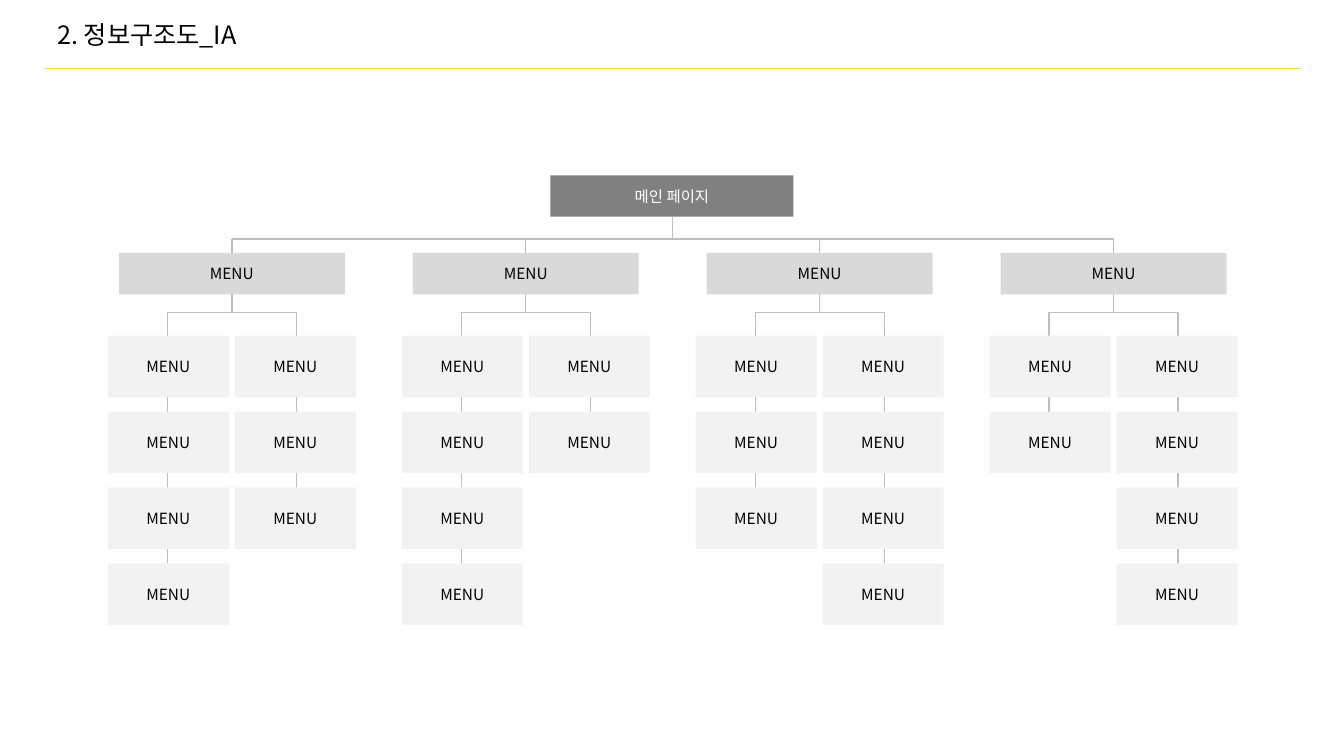
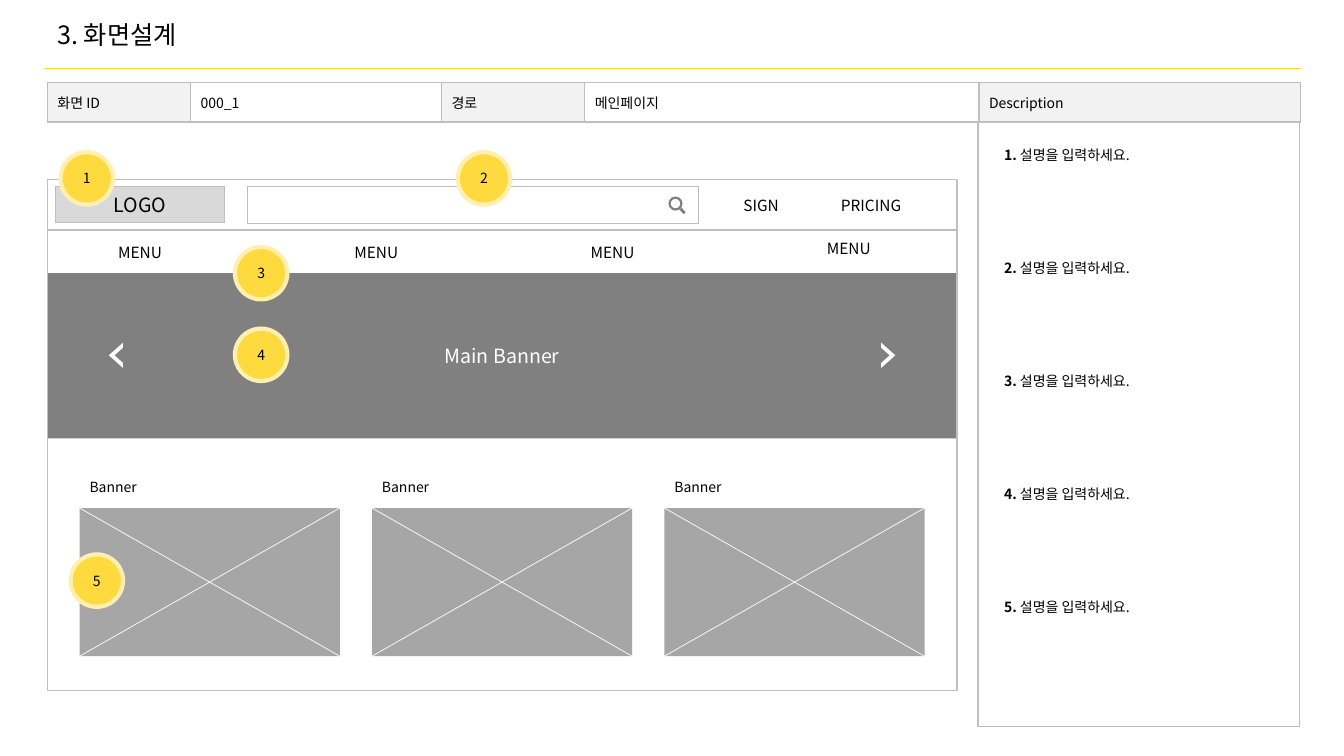
from dataclasses import dataclass

from lxml import etree
from pptx import Presentation
from pptx.dml.color import RGBColor
from pptx.enum.shapes import MSO_CONNECTOR, MSO_SHAPE
from pptx.enum.text import MSO_ANCHOR, PP_ALIGN
from pptx.oxml.ns import qn
from pptx.util import Inches, Pt

COLORS = {
    "black": "000000", "white": "FFFFFF", "accent": "FFDA3F", "halo": "FFF0B2",
    "dark": "808080", "middle": "A6A6A6", "rule": "BFBFBF", "light": "D9D9D9", "pale": "F2F2F2",
}
FONT = "Noto Sans CJK KR"
CELL = Inches(0.1)
RECTANGLE, OVAL, DONUT = MSO_SHAPE.RECTANGLE, MSO_SHAPE.OVAL, MSO_SHAPE.DONUT
STRAIGHT = MSO_CONNECTOR.STRAIGHT
LEFT, CENTER = PP_ALIGN.LEFT, PP_ALIGN.CENTER
TOP, MIDDLE = MSO_ANCHOR.TOP, MSO_ANCHOR.MIDDLE
BORDER_TAGS = ("a:lnL", "a:lnR", "a:lnT", "a:lnB")
CHEVRON = [(0, 0), (1, 0.5), (0, 1), (0, 0.8), (0.6, 0.5), (0, 0.2)]


@dataclass
class Box:
    """A rectangle measured in cells of the slide grid."""
    left: float
    top: float
    width: float
    height: float

    def inside(self, left, top, width, height):
        """Return a box placed from this box's top left corner."""
        return Box(self.left + left, self.top + top, width, height)

    def centered(self, width, height):
        """Return a box of the given size in the middle of this one."""
        return self.inside((self.width - width) / 2, (self.height - height) / 2, width, height)

    def point(self, across, down):
        """Return the point at the given shares of the box."""
        return self.left + across * self.width, self.top + down * self.height

    def lengths(self):
        """Return left, top, width and height in slide units."""
        return [units(value) for value in (self.left, self.top, self.width, self.height)]


SLIDE = Box(0, 0, 133.3, 75)
TREE = Box(10.7, 17.4, 112, 44.6)
INFO = Box(4.7, 8.2, 124.3, 3.9)
NOTES = Box(97, 12.1, 31.9, 60)
FRAME = Box(4.7, 17.8, 90.2, 50.7)


def units(cells):
    """Convert grid cells to slide units."""
    return round(cells * CELL)


def rgb(name):
    """Look up a colour by name."""
    return RGBColor.from_string(COLORS[name])


def style_text(frame, size, color="black", align=LEFT, anchor=MIDDLE):
    """Format every run of a text frame."""
    frame.word_wrap = True
    frame.vertical_anchor = anchor
    for paragraph in frame.paragraphs:
        paragraph.alignment = align
        for run in paragraph.runs:
            run.font.size = Pt(size)
            run.font.name = FONT
            run.font.color.rgb = rgb(color)
            east_asian = etree.SubElement(run.font._element, qn("a:ea"))
            east_asian.set("typeface", FONT)


def paint(shape, fill=None, line=None, weight=1):
    """Set fill and outline and remove the shadow."""
    shape.shadow.inherit = False
    if fill:
        shape.fill.solid()
        shape.fill.fore_color.rgb = rgb(fill)
    else:
        shape.fill.background()
    if line:
        shape.line.color.rgb = rgb(line)
        shape.line.width = Pt(weight)
    else:
        shape.line.fill.background()


def add_block(slide, box, fill=None, line=None, weight=1, kind=RECTANGLE,
              text="", size=11, color="black"):
    """Add a preset shape with optional centred text."""
    shape = slide.shapes.add_shape(kind, *box.lengths())
    paint(shape, fill, line, weight)
    if text:
        shape.text_frame.text = text
        style_text(shape.text_frame, size, color, CENTER)
    return shape


def add_text(slide, box, text, size=11, color="black", align=LEFT, anchor=MIDDLE):
    """Add a text box."""
    frame = slide.shapes.add_textbox(*box.lengths()).text_frame
    frame.text = text
    style_text(frame, size, color, align, anchor)


def add_line(slide, start, end, color="rule", weight=1):
    """Add a straight line between two grid points."""
    line = slide.shapes.add_connector(STRAIGHT, *[units(value) for value in (*start, *end)])
    line.line.color.rgb = rgb(color)
    line.line.width = Pt(weight)
    etree.SubElement(line._element.spPr, qn("a:effectLst"))


def add_outline(slide, points, close=False):
    """Build an unpainted freeform through grid points."""
    start, *rest = [(units(x), units(y)) for x, y in points]
    builder = slide.shapes.build_freeform(*start, scale=1.0)
    builder.add_line_segments(rest, close=close)
    return builder.convert_to_shape()


def add_page(presentation, title):
    """Add a slide with the shared title and rule."""
    slide = presentation.slides.add_slide(presentation.slide_layouts[6])
    add_line(slide, SLIDE.inside(4.4, 6.8, 0, 0).point(0, 0), (129, 6.8), "accent", 0.5)
    add_text(slide, SLIDE.inside(4.7, 0, 59.5, 6.8), title, 18)
    return slide


def add_menu_group(slide, box, counts):
    """Draw a heading with two columns of menus and their branches."""
    middle, split, spread = box.width / 2, 5.9, 6.4
    columns = [[box.inside(column * 12.6, 8.2 + row * 7.53, 12, 6.1) for row in range(count)]
               for column, count in enumerate(counts)]
    left, right = (box.left + middle + side * spread for side in (-1, 1))
    ends = [leaves[-1].point(0, 0.4)[1] for leaves in columns]
    fork = box.top + split
    branch = add_outline(slide, [(left, ends[0]), (left, fork), (right, fork), (right, ends[1])])
    paint(branch, line="rule")
    center = box.left + middle
    add_line(slide, (center, box.top - 1.4), (center, fork))
    add_block(slide, box.inside(1.1, 0, 22.4, 4.1), "light", text="MENU")
    for leaves in columns:
        for leaf in leaves:
            add_block(slide, leaf, "pale", text="MENU")


def add_site_tree(slide, box, groups):
    """Draw the main page and the menu groups beneath it."""
    group_boxes = [box.inside(index * 29.15, 7.7, 24.6, 36.9) for index in range(len(groups))]
    for group_box, counts in zip(group_boxes, groups):
        add_menu_group(slide, group_box, counts)
    bar = box.top + 6.3
    first, last = (group_boxes[index].point(0.5, 0)[0] for index in (0, -1))
    add_line(slide, (first, bar), (last, bar))
    center = box.point(0.5, 0)[0]
    add_line(slide, (center, box.top + 4.1), (center, bar))
    add_block(slide, box.inside(43.9, 0, 24.1, 4.1), "dark", text="메인 페이지", color="white")


def add_info_table(slide, box, labels, widths):
    """Add the one-row table with shaded label cells."""
    table = slide.shapes.add_table(1, len(labels), *box.lengths()).table
    table.first_row = table.horz_banding = False
    for index, (label, width) in enumerate(zip(labels, widths)):
        table.columns[index].width = units(width)
        cell = table.cell(0, index)
        cell.text = label
        cell.vertical_anchor = MIDDLE
        style_text(cell.text_frame, 10)
        properties = cell._tc.get_or_add_tcPr()
        for tag in BORDER_TAGS:
            border = etree.SubElement(properties, qn(tag), w=str(Pt(1)))
            fill = etree.SubElement(border, qn("a:solidFill"))
            etree.SubElement(fill, qn("a:srgbClr"), val=COLORS["rule"])
        cell.fill.solid()
        cell.fill.fore_color.rgb = rgb("white" if index % 2 else "pale")


def add_notes_panel(slide, box, count):
    """Add the outlined panel with numbered descriptions."""
    add_block(slide, box, line="rule")
    for index in range(count):
        item = box.inside(1.6, 1.9 + index * 11.23, 28.8, 2.7)
        frame = slide.shapes.add_textbox(*item.lengths()).text_frame
        frame.text = f"{index + 1}. "
        paragraph = frame.paragraphs[0]
        paragraph.add_run().text = "설명을 입력하세요."
        style_text(frame, 10, anchor=TOP)
        paragraph.runs[0].font.bold = True


def add_main_banner(slide, box):
    """Draw the main banner with its two arrows."""
    add_block(slide, box, "dark")
    for left, mirrored in ((6.1, True), (82.7, False)):
        arrow = box.inside(left, 6.9, 1.4, 2.5)
        points = [arrow.point(1 - x if mirrored else x, y) for x, y in CHEVRON]
        paint(add_outline(slide, points, close=True), "white")
    add_text(slide, box.centered(25.8, 3.4), "Main Banner", 14, "white", CENTER)


def add_search_field(slide, box):
    """Draw the search field and its magnifier."""
    add_block(slide, box, line="rule", weight=0.75)
    lens = box.inside(41.7, 1, 1.4, 1.4)
    ring = add_block(slide, lens, "dark", kind=DONUT)
    ring.adjustments[0] = 0.16
    add_line(slide, lens.point(0.85, 0.85), lens.point(1.15, 1.18), "dark", 2)


def add_header(slide, box):
    """Draw the logo, search field, account links and menu bar."""
    add_block(slide, box.inside(0.8, 0.7, 16.8, 3.6), "light", "rule", text="LOGO", size=14)
    add_search_field(slide, box.inside(19.9, 0.7, 44.7, 3.7))
    for left, label in ((64.6, "SIGN"), (75.5, "PRICING")):
        add_text(slide, box.inside(left, 1.1, 12.4, 2.9), label, align=CENTER)
    rule = box.inside(0, 5, box.width, 0)
    add_line(slide, rule.point(0, 0), rule.point(1, 0))
    for index, top in enumerate((5.8, 5.8, 5.8, 5.4)):
        add_text(slide, box.inside(3 + index * 23.43, top, 12.4, 2.9), "MENU", align=CENTER)


def add_small_banner(slide, box):
    """Draw a labelled placeholder crossed by two diagonals."""
    add_text(slide, box.inside(0, 0, 16.8, 2.7), "Banner", 10, anchor=TOP)
    area = box.inside(0, 3.4, box.width, box.height - 3.4)
    add_block(slide, area, "middle")
    for start, end in ((0, 1), (1, 0)):
        add_line(slide, area.point(start, 1), area.point(end, 0), "white", 0.5)


def add_markers(slide, box, centers):
    """Add numbered circles around the given points of the box."""
    for number, (across, down) in enumerate(centers, 1):
        circle = box.inside(across, down, 0, 0).centered(5.2, 5.2)
        marker = add_block(slide, circle, "accent", "halo", 3, OVAL, str(number), 10)
        frame = marker.text_frame
        frame.margin_left = frame.margin_right = frame.margin_top = frame.margin_bottom = 0


def add_wireframe(slide, box):
    """Draw the main page screen with its markers."""
    add_main_banner(slide, box.inside(0, 9.3, box.width, 16.4))
    add_block(slide, box, line="rule")
    add_header(slide, box.inside(0, 0, box.width, 9.3))
    for index in range(3):
        add_small_banner(slide, box.inside(3.2 + index * 29, 29.2, 25.8, 18.1))
    add_markers(slide, box, [(3.9, -0.1), (43.3, -0.1), (21.2, 9.3), (21.2, 17.4), (4.9, 39.8)])


def main():
    """Build and save both slides."""
    presentation = Presentation()
    presentation.slide_width, presentation.slide_height = Inches(13.33), Inches(7.5)
    structure = add_page(presentation, "2. 정보구조도_IA")
    add_site_tree(structure, TREE, [(4, 3), (4, 2), (3, 4), (2, 4)])
    screen = add_page(presentation, "3. 화면설계")
    add_info_table(screen, INFO, ["화면 ID", "000_1", "경로", "메인페이지", "Description"],
                   [14.2, 24.9, 14.2, 39.1, 31.9])
    add_notes_panel(screen, NOTES, 5)
    add_wireframe(screen, FRAME)
    presentation.save("out.pptx")


main()
